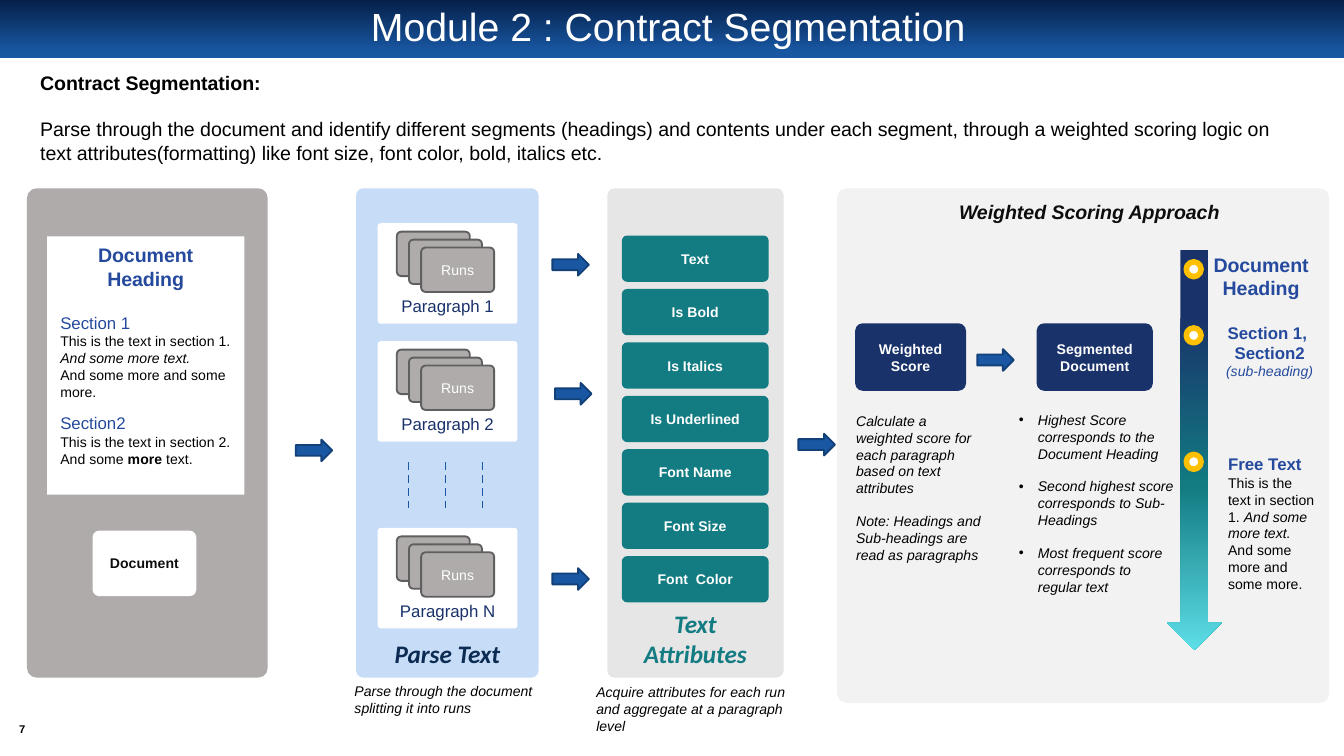
from copy import deepcopy

from pptx import Presentation
from pptx.dml.color import RGBColor
from pptx.enum.dml import MSO_LINE_DASH_STYLE as DASH
from pptx.enum.shapes import MSO_CONNECTOR, MSO_SHAPE as SHAPE
from pptx.enum.text import MSO_ANCHOR as ANCHOR, MSO_AUTO_SIZE, PP_ALIGN as ALIGN
from pptx.oxml.ns import qn
from pptx.util import Cm, Pt

COLORS = {
    "white": "FFFFFF", "black": "000000", "ink": "0D0D0D",
    "bar_top": "052049", "blue": "1957A3", "edge": "124079",
    "navy": "19326A", "deep": "0C2B52", "heading": "254A9D",
    "teal": "137B82", "aqua": "5DDEE7", "gold": "FFC000",
    "gray": "AFABAB", "dark_gray": "5F5F5F", "light_gray": "E7E6E6",
    "pale": "F2F2F2", "sky": "C7DCF6",
}


def rgb(name):
    return RGBColor.from_string(COLORS[name])


def add_text(sp, text, size=7.5, color="black", bold=False, italic=False,
             font="Arial", align=ALIGN.LEFT, before=0):
    """Add one paragraph; text is a string or a list of (text, format) runs."""
    tf = sp.text_frame
    p = tf.paragraphs[0] if not tf.text else tf.add_paragraph()
    p.alignment, p.space_before = align, Pt(before)
    for part, own in [(text, {})] if isinstance(text, str) else text:
        r = p.add_run()
        r.text = part
        r.font.name, r.font.size = font, Pt(size)
        r.font.bold = own.get("bold", bold)
        r.font.italic = own.get("italic", italic)
        r.font.color.rgb = rgb(color)
    return p


class Deck:
    def __init__(self, width, height):
        self.prs = Presentation()
        self.prs.slide_width, self.prs.slide_height = Cm(width), Cm(height)
        self.s = self.prs.slides.add_slide(self.prs.slide_layouts[1])

    def frame(self, sp, anchor):
        tf = sp.text_frame
        tf.word_wrap, tf.auto_size = True, MSO_AUTO_SIZE.NONE
        tf.vertical_anchor = anchor
        return sp

    def placeholder(self, idx, x, y, w, h, anchor=ANCHOR.TOP):
        sp = self.s.placeholders[idx]
        sp.left, sp.top, sp.width, sp.height = Cm(x), Cm(y), Cm(w), Cm(h)
        self.s.shapes._spTree.append(sp._element)  # bring to front
        return self.frame(sp, anchor)

    def box(self, x, y, w, h, anchor=ANCHOR.TOP):
        sp = self.s.shapes.add_textbox(Cm(x), Cm(y), Cm(w), Cm(h))
        return self.frame(sp, anchor)

    def shape(self, kind, x, y, w, h, fill, line=None, weight=1, adj=None,
              anchor=ANCHOR.MIDDLE):
        sp = self.s.shapes.add_shape(kind, Cm(x), Cm(y), Cm(w), Cm(h))
        sp.shadow.inherit = False
        if isinstance(fill, str):
            sp.fill.solid()
            sp.fill.fore_color.rgb = rgb(fill)
        else:
            self.gradient(sp, fill)
        if line:
            sp.line.color.rgb, sp.line.width = rgb(line), Pt(weight)
        else:
            sp.line.fill.background()
        if adj is not None:
            sp.adjustments[0] = adj
        return self.frame(sp, anchor)

    def gradient(self, sp, stops):
        sp.fill.gradient()
        sp.fill.gradient_angle = 270
        gs_list = next(sp._element.iter(qn("a:gsLst")))
        for _ in stops[2:]:
            gs_list.append(deepcopy(gs_list[0]))
        for stop, (position, color) in zip(sp.fill.gradient_stops, stops):
            stop.color.rgb, stop.position = rgb(color), position

    def card(self, x, y, w, h, fill, line=None, adj=0.1, anchor=ANCHOR.MIDDLE):
        return self.shape(SHAPE.ROUNDED_RECTANGLE, x, y, w, h, fill, line,
                          adj=adj, anchor=anchor)

    def arrow(self, x, y):
        self.shape(SHAPE.RIGHT_ARROW, x, y, 0.69, 0.41, "blue", "edge")

    def dashed(self, x, top, bottom):
        c = self.s.shapes.add_connector(MSO_CONNECTOR.STRAIGHT, Cm(x), Cm(top),
                                        Cm(x), Cm(bottom))
        c.line.color.rgb, c.line.width = rgb("blue"), Pt(1)
        c.line.dash_style = DASH.DASH
        pr = c._element.spPr
        pr.append(pr.makeelement(qn("a:effectLst"), {}))

    def paragraph_card(self, y, label):
        x = 7.14
        sp = self.card(x, y, 2.64, 1.9, "white", adj=0.03, anchor=ANCHOR.BOTTOM)
        add_text(sp, label, size=9, color="navy", align=ALIGN.CENTER)
        for i in range(3):
            run = self.card(x + 0.36 + 0.23 * i, y + 0.16 + 0.15 * i, 1.38, 0.84,
                            "gray", "dark_gray")
        add_text(run, "Runs", color="white", align=ALIGN.CENTER)


def main():
    d = Deck(25.4, 14.29)
    center = {"align": ALIGN.CENTER}

    # Header, introduction and page number
    d.shape(SHAPE.RECTANGLE, 0, 0, 25.4, 1.09, [(0, "bar_top"), (0.9, "blue")])
    title = d.placeholder(0, 1.24, 0.13, 22.78, 0.84, ANCHOR.MIDDLE)
    p = add_text(title, "Module 2 : Contract Segmentation", size=21, color="white", **center)
    p.line_spacing = 0.9
    intro = d.box(0.51, 1.22, 23.8, 2.06)
    add_text(intro, "Contract Segmentation:", size=10.5, bold=True)
    add_text(intro, "Parse through the document and identify different segments (headings) "
             "and contents under each segment, through a weighted scoring logic on text "
             "attributes(formatting) like font size, font color, bold, italics etc.",
             size=10.5, before=12)
    number = d.box(0.18, 13.59, 0.48, 0.38, ANCHOR.MIDDLE)
    tf = number.text_frame
    tf.margin_left = tf.margin_right = tf.margin_top = tf.margin_bottom = 0
    add_text(number, "7", size=6, bold=True, **center)

    # Panels
    top = 3.56
    d.card(0.51, top, 4.55, 9.25, "gray", adj=0.04)
    for x, w, fill, label, color in [(6.73, 3.45, "sky", "Parse Text", "deep"),
                                     (11.48, 3.33, "light_gray", "Text Attributes", "teal")]:
        sp = d.card(x, top, w, 9.25, fill, adj=0.04, anchor=ANCHOR.BOTTOM)
        add_text(sp, label, size=13.5, color=color, bold=True, italic=True,
                 font="Calibri", **center)
    d.card(15.82, top, 9.3, 9.73, "pale", adj=0.02)

    # Sample document
    more = [("This is the text in section 1. ", {}),
            ("And some more text.", {"italic": True})]
    page = d.shape(SHAPE.RECTANGLE, 0.89, 4.47, 3.73, 4.88, "white", anchor=ANCHOR.TOP)
    add_text(page, "Document Heading", size=10.5, color="heading", bold=True, **center)
    add_text(page, "Section 1", size=9, color="heading", before=12)
    add_text(page, more)
    add_text(page, "And some more and some more.")
    add_text(page, "Section2", size=9, color="heading", before=7)
    add_text(page, [("This is the text in section 2. And some ", {}),
                    ("more", {"bold": True}), (" text.", {})])
    add_text(d.card(1.75, 10.03, 1.96, 1.24, "white"), "Document",
             color="ink", bold=True, **center)

    # Paragraphs split into runs
    for y, n in [(4.22, "1"), (6.45, "2"), (9.98, "N")]:
        d.paragraph_card(y, f"Paragraph {n}")
    for i in range(3):
        d.dashed(7.72 + 0.7 * i, 8.74, 9.6)

    # Text attributes
    attributes = ["Text", "Is Bold", "Is Italics", "Is Underlined",
                  "Font Name", "Font Size", "Font  Color"]
    for i, label in enumerate(attributes):
        sp = d.card(11.77, 4.47 + 1.01 * i, 2.74, 0.84, "teal", "teal")
        add_text(sp, label, color="white", bold=True, **center)

    # Weighted scoring
    add_text(d.box(17.81, 3.66, 5.56, 0.71), "Weighted Scoring Approach", size=10.5,
             color="ink", bold=True, italic=True, **center)
    for x, w, label in [(16.18, 2.06, "Weighted Score"), (19.61, 2.16, "Segmented Document")]:
        add_text(d.card(x, 6.13, w, 1.24, "navy", "navy"), label,
                 color="white", bold=True, **center)
    rules = d.placeholder(1, 19, 7.65, 3.53, 4.11)
    for i, rule in enumerate(["Highest Score corresponds to the Document Heading",
                              "Second highest score corresponds to Sub-Headings",
                              "Most frequent score corresponds to regular text"]):
        p = add_text(rules, rule, italic=True, before=8.6 if i else 0)
        pPr = p._p.get_or_add_pPr()
        pPr.set("marL", str(Cm(0.36)))
        pPr.set("indent", str(-Cm(0.36)))

    # Captions
    for x, y, w, h, texts in [
            (6.45, 12.78, 3.94, 0.89, ["Parse through the document splitting it into runs"]),
            (11.02, 12.8, 4.45, 1.22,
             ["Acquire attributes for each run and aggregate at a paragraph level"]),
            (15.93, 7.67, 2.97, 2.82,
             ["Calculate a weighted score for each paragraph based on text attributes",
              "Note: Headings and Sub-headings are read as paragraphs"])]:
        sp = d.box(x, y, w, h)
        for i, text in enumerate(texts):
            add_text(sp, text, italic=True, before=8.6 * i)

    # Flow arrows
    for x, y in [(5.59, 8.31), (10.44, 4.8), (10.49, 7.24), (10.44, 10.74),
                 (15.09, 8.2), (18.47, 6.6)]:
        d.arrow(x, y)

    # Score scale
    d.shape(SHAPE.DOWN_ARROW, 22.05, 4.72, 1.04, 7.57,
            [(0.16, "navy"), (0.59, "teal"), (1, "aqua")])
    for y in (4.95, 6.2, 8.59):
        d.shape(SHAPE.OVAL, 22.42, y, 0.28, 0.28, "white", "gold", weight=3)
    add_text(d.box(22.45, 4.65, 2.77, 1.14), "Document Heading", size=10.5,
             color="heading", bold=True, **center)
    sections = d.box(22.71, 5.97, 2.57, 1.35)
    add_text(sections, "Section 1,  Section2", size=9, color="heading", bold=True, **center)
    add_text(sections, "(sub-heading)", color="heading", italic=True, **center)
    free = d.box(22.96, 8.46, 2.16, 2.9)
    add_text(free, "Free Text", size=9, color="heading", bold=True)
    add_text(free, more)
    add_text(free, "And some more and some more.")

    d.prs.save("out.pptx")


if __name__ == "__main__":
    main()
